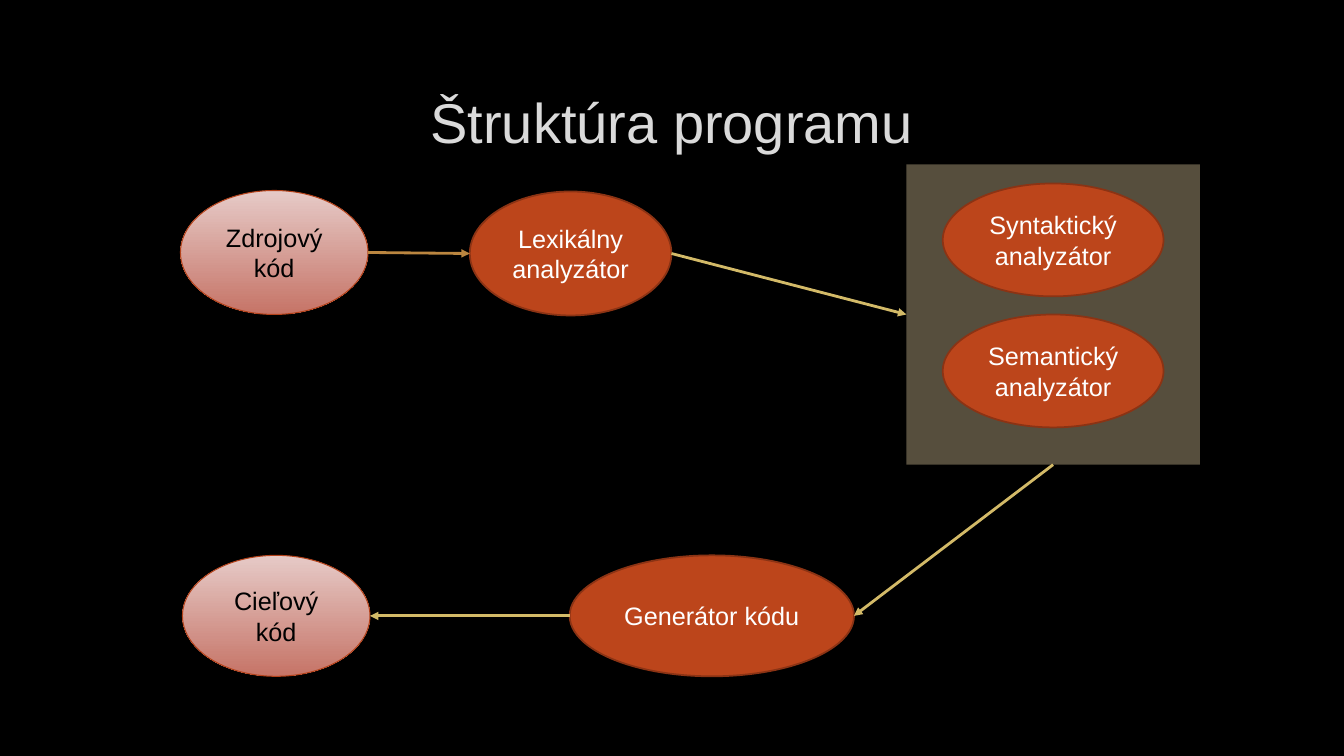
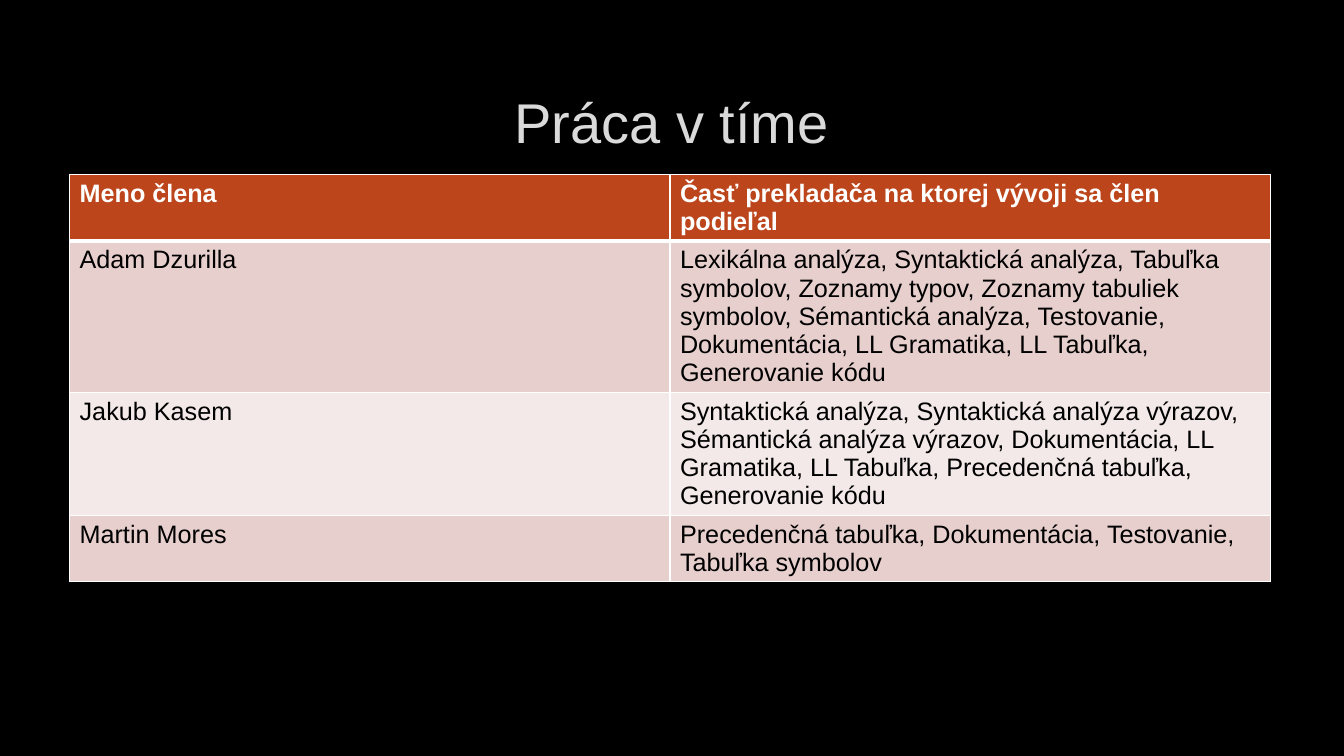
import lxml.etree
import pptx
import pptx.dml.color
import pptx.enum.shapes
import pptx.enum.text
import pptx.oxml.ns
import pptx.util

Inches = pptx.util.Inches
Pt = pptx.util.Pt
qn = pptx.oxml.ns.qn
SHAPE = pptx.enum.shapes.MSO_SHAPE
ALIGN = pptx.enum.text.PP_ALIGN
MIDDLE = pptx.enum.text.MSO_ANCHOR.MIDDLE

TOP, LEFT, BOTTOM, RIGHT = range(4)


def rgb(code):
    return pptx.dml.color.RGBColor.from_string(code)


class Theme:
    font = "Arial"
    title_size, body_size = 40, 18
    back, title = "000000", "DADADA"
    light, dark = "FFFFFF", "000000"
    step, step_line = "BC451B", "8B3314"
    data, data_line = ("E6CAC7", "C67467"), "B4421A"
    panel = "AD9D7B"
    arrow, first_arrow = "D3BA68", "BB8640"
    bands = ("E7CFCD", "F3E9E8")
    rule, thick_rule = 1, 3


class Deck:
    def __init__(self, theme):
        self.theme = theme
        self.prs = pptx.Presentation()
        self.prs.slide_width = Inches(13.33)
        self.prs.slide_height = Inches(7.5)
        fill = self.prs.slide_master.background.fill
        fill.solid()
        fill.fore_color.rgb = rgb(theme.back)
        self.slide = None

    def style(self, frame, size, color, align, bold=False):
        for para in frame.paragraphs:
            para.alignment = align
            for run in para.runs:
                font = run.font
                font.name, font.size, font.bold = self.theme.font, Pt(size), bold
                font.color.rgb = rgb(color)

    def start(self, title):
        """Add a title-only slide and make it the current one."""
        self.slide = self.prs.slides.add_slide(self.prs.slide_layouts[5])
        box = self.slide.shapes.title
        box.left, box.top = Inches(1), Inches(0.67)
        box.width, box.height = Inches(11.32), Inches(1.06)
        frame = box.text_frame
        frame.text = title
        frame.auto_size = pptx.enum.text.MSO_AUTO_SIZE.NONE
        frame.vertical_anchor = MIDDLE
        self.style(frame, self.theme.title_size, self.theme.title, ALIGN.CENTER)

    def shape(self, kind, *box):
        shape = self.slide.shapes.add_shape(kind, *map(Inches, box))
        shape.shadow.inherit = False
        return shape

    def panel(self, *box):
        """Add a half-transparent rectangle without outline."""
        shape = self.shape(SHAPE.RECTANGLE, *box)
        shape.fill.solid()
        shape.fill.fore_color.rgb = rgb(self.theme.panel)
        color = shape.fill._xPr.find(".//" + qn("a:srgbClr"))
        lxml.etree.SubElement(color, qn("a:alpha"), val="50000")
        shape.line.fill.background()
        return shape

    def oval(self, text, *box):
        shape = self.shape(SHAPE.OVAL, *box)
        frame = shape.text_frame
        frame.text = text
        frame.word_wrap = True
        frame.vertical_anchor = MIDDLE
        return shape

    def step(self, text, *box):
        """Add an oval for a part of the program."""
        shape = self.oval(text, *box)
        shape.fill.solid()
        shape.fill.fore_color.rgb = rgb(self.theme.step)
        shape.line.color.rgb = rgb(self.theme.step_line)
        shape.line.width = Pt(1.25)
        self.style(shape.text_frame, self.theme.body_size, self.theme.light, ALIGN.CENTER)
        return shape

    def data(self, text, *box):
        """Add a gradient oval for what goes in or comes out."""
        shape = self.oval(text, *box)
        shape.fill.gradient()
        shape.fill.gradient_angle = 270
        for stop, color in zip(shape.fill.gradient_stops, self.theme.data):
            stop.color.rgb = rgb(color)
        shape.line.color.rgb = rgb(self.theme.data_line)
        shape.line.width = Pt(0.75)
        self.style(shape.text_frame, self.theme.body_size, self.theme.dark, ALIGN.CENTER)
        return shape

    def arrow(self, start, side, end, to_side, color):
        """Join the sides of two shapes; an oval has eight sites, not four."""
        line = self.slide.shapes.add_connector(
            pptx.enum.shapes.MSO_CONNECTOR.STRAIGHT, 0, 0, 0, 0)
        line.begin_connect(start, side)
        line.end_connect(end, to_side)
        joins = line._element.nvCxnSpPr.cNvCxnSpPr
        for shape, join in ((start, joins.stCxn), (end, joins.endCxn)):
            if shape.auto_shape_type == SHAPE.OVAL:
                join.idx *= 2
        line.line.color.rgb = rgb(color)
        line.line.width = Pt(2)
        lxml.etree.SubElement(line.line._get_or_add_ln(), qn("a:tailEnd"), type="triangle")
        lxml.etree.SubElement(line._element.spPr, qn("a:effectLst"))

    def border(self, cell, top, bottom):
        props = cell._tc.get_or_add_tcPr()
        rule = self.theme.rule
        for side, width in zip("LRTB", (rule, rule, top, bottom)):
            line = lxml.etree.SubElement(props, qn("a:ln" + side), w=str(Pt(width)))
            fill = lxml.etree.SubElement(line, qn("a:solidFill"))
            lxml.etree.SubElement(fill, qn("a:srgbClr"), val=self.theme.light)

    def table(self, rows, heights, left, top, width):
        theme = self.theme
        count = len(rows[0])
        table = self.slide.shapes.add_table(
            len(rows), count, Inches(left), Inches(top),
            Inches(width), Inches(sum(heights))).table
        for r, (texts, height) in enumerate(zip(rows, heights)):
            table.rows[r].height = Inches(height)
            head = r == 0
            for c, text in enumerate(texts):
                cell = table.cell(r, c)
                self.border(cell, theme.thick_rule if r == 1 else theme.rule,
                            theme.thick_rule if head else theme.rule)
                cell.fill.solid()
                cell.fill.fore_color.rgb = rgb(theme.step if head else theme.bands[(r - 1) % 2])
                cell.text_frame.text = text
                self.style(cell.text_frame, theme.body_size,
                           theme.light if head else theme.dark, ALIGN.LEFT, head)


def draw_flow(deck):
    theme = deck.theme
    deck.start("Štruktúra programu")
    panel = deck.panel(8.99, 1.63, 2.91, 2.98)
    source = deck.data("Zdrojový kód", 1.79, 1.89, 1.86, 1.23)
    lexer = deck.step("Lexikálny analyzátor", 4.66, 1.9, 2, 1.23)
    for i, name in enumerate(("Syntaktický", "Semantický")):
        deck.step(name + " analyzátor", 9.35, 1.82 + 1.3 * i, 2.19, 1.12)
    maker = deck.step("Generátor kódu", 5.65, 5.51, 2.82, 1.2)
    target = deck.data("Cieľový kód", 1.81, 5.51, 1.86, 1.2)
    deck.arrow(source, RIGHT, lexer, LEFT, theme.first_arrow)
    deck.arrow(lexer, RIGHT, panel, LEFT, theme.arrow)
    deck.arrow(panel, BOTTOM, maker, RIGHT, theme.arrow)
    deck.arrow(maker, LEFT, target, RIGHT, theme.arrow)


def draw_team(deck):
    deck.start("Práca v tíme")
    rows = [
        ("Meno člena", "Časť prekladača na ktorej vývoji sa člen podieľal"),
        ("Adam Dzurilla",
         "Lexikálna analýza, Syntaktická analýza, Tabuľka symbolov, Zoznamy typov, "
         "Zoznamy tabuliek symbolov, Sémantická analýza, Testovanie, Dokumentácia, "
         "LL Gramatika, LL Tabuľka, Generovanie kódu"),
        ("Jakub Kasem",
         "Syntaktická analýza, Syntaktická analýza výrazov, Sémantická analýza výrazov, "
         "Dokumentácia, LL Gramatika, LL Tabuľka, Precedenčná tabuľka, Generovanie kódu"),
        ("Martin Mores",
         "Precedenčná tabuľka, Dokumentácia, Testovanie, Tabuľka symbolov"),
    ]
    deck.table(rows, (0.66, 1.5, 1.22, 0.66), 0.69, 1.73, 11.91)


def main():
    deck = Deck(Theme())
    draw_flow(deck)
    draw_team(deck)
    deck.prs.save("out.pptx")


if __name__ == "__main__":
    main()
